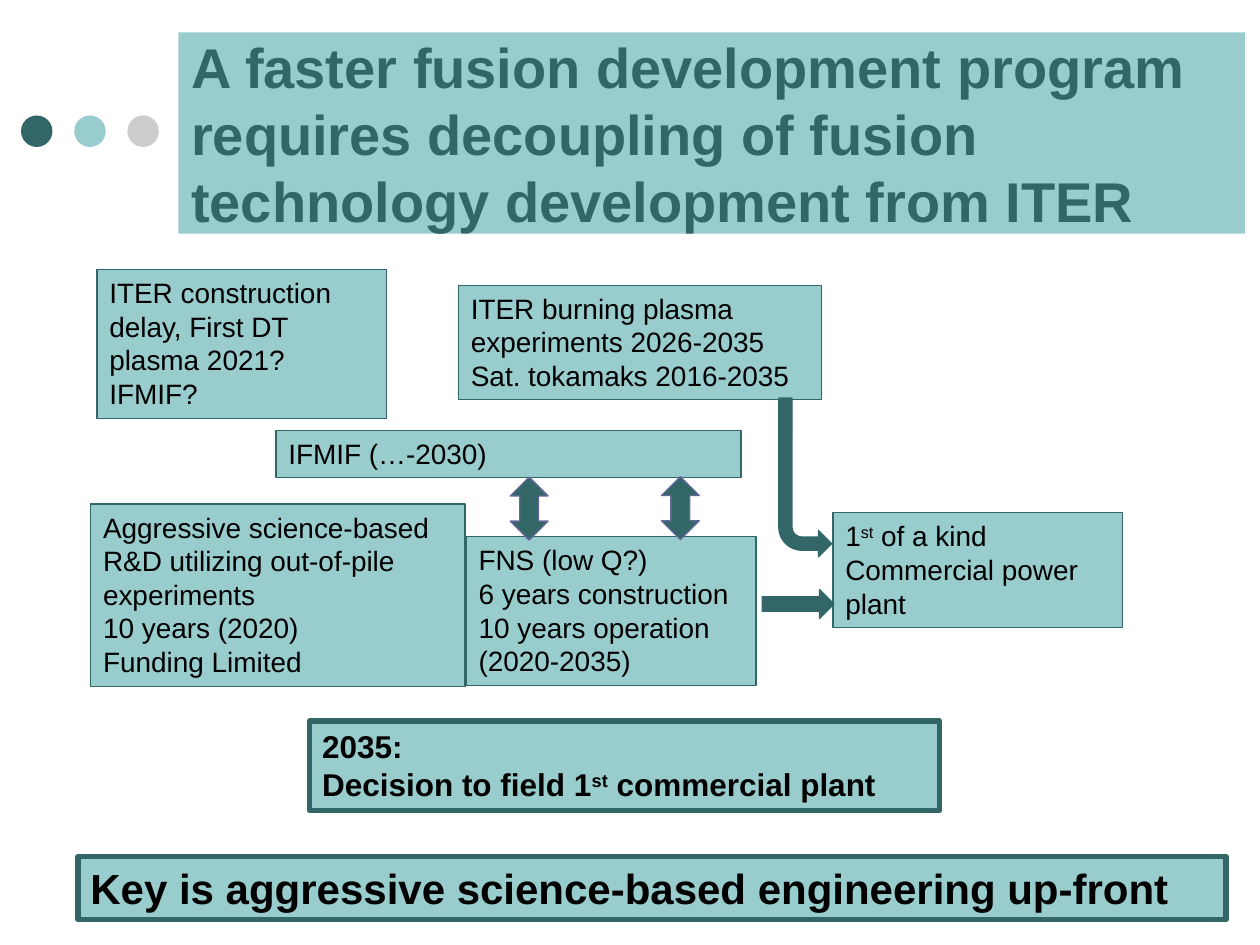
"""Build the slide on decoupling fusion technology development from ITER."""
from dataclasses import dataclass

from pptx import Presentation
from pptx.dml.color import RGBColor
from pptx.enum.shapes import MSO_SHAPE
from pptx.enum.text import MSO_ANCHOR, MSO_AUTO_SIZE, PP_ALIGN
from pptx.oxml.ns import qn
from pptx.util import Pt

OVAL = MSO_SHAPE.OVAL
BENT = MSO_SHAPE.BENT_ARROW
UP = MSO_SHAPE.UP_ARROW
UP_DOWN = MSO_SHAPE.UP_DOWN_ARROW
MIDDLE, TOP = MSO_ANCHOR.MIDDLE, MSO_ANCHOR.TOP
FIT, NO_FIT = MSO_AUTO_SIZE.SHAPE_TO_FIT_TEXT, MSO_AUTO_SIZE.NONE
LEFT = PP_ALIGN.LEFT

TEAL, AQUA, GREY = "336666", "99CCCC", "CCCCCC"
VIOLET, BLACK = "666699", "000000"
TITLE = ("A faster fusion development program requires decoupling "
         "of fusion technology development from ITER")


@dataclass
class Box:
    """A framed text box; carets enclose superscripts."""
    x: float
    y: float
    w: float
    h: float
    paragraphs: tuple[str, ...]
    size: float = 16
    bold: bool = False
    line: float = 0.75


@dataclass
class Arrow:
    """A block arrow."""
    kind: int
    x: float
    y: float
    w: float
    h: float
    line: str = TEAL
    rotation: float = 0
    flip: bool = False


BOXES = (
    Box(55.4, 154, 165.6, 85, ("ITER construction delay, First DT plasma 2021?", "IFMIF?")),
    Box(262, 163, 207.4, 65.5,
        ("ITER burning plasma experiments 2026-2035", "Sat. tokamaks 2016-2035")),
    Box(177, 412, 360, 51, ("2035:", "Decision to field 1^st^ commercial plant"), 18, True, 3),
    Box(51.8, 288, 214, 104.4,
        ("Aggressive science-based R&D utilizing out-of-pile experiments",
         "10 years (2020)", "Funding Limited")),
    Box(266.4, 306.7, 165.6, 85,
        ("FNS (low Q?)", "6 years construction", "10 years operation (2020-2035)")),
    Box(157.7, 246.2, 265.7, 26.6, ("IFMIF (…-2030)",)),
    Box(476, 293, 165.6, 65.5, ("1^st^ of a kind Commercial power plant",)),
    Box(44.6, 489.6, 656, 36, ("Key is aggressive science-based engineering up-front",),
        24, True, 3),
)
ARROWS = (
    Arrow(BENT, 445, 227.5, 30.2, 90.7, rotation=180, flip=True),
    Arrow(UP, 447.8, 324.7, 16.6, 41, rotation=90),
    Arrow(UP_DOWN, 291.6, 272.6, 21.6, 36, VIOLET),
    Arrow(UP_DOWN, 378, 272.4, 21.6, 36, VIOLET),
)


def paint(fmt, color: str) -> None:
    """Apply a solid colour to a fill."""
    fmt.solid()
    fmt.fore_color.rgb = RGBColor.from_string(color)


def add_run(p, text: str, size: float, color: str, bold: bool, raised: bool = False) -> None:
    """Append one formatted run to a paragraph."""
    r = p.add_run()
    r.text = text
    r.font.name, r.font.size, r.font.bold = "Arial", Pt(size), bold
    paint(r.font.fill, color)
    if raised:
        r.font._element.set("baseline", "30000")


def add_title(slide) -> None:
    """Place and fill the title placeholder."""
    sp = slide.shapes.title
    sp.left, sp.top, sp.width, sp.height = Pt(102), Pt(18.5), Pt(609.4), Pt(115)
    paint(sp.fill, AQUA)
    tf = sp.text_frame
    tf.word_wrap, tf.auto_size, tf.vertical_anchor = True, NO_FIT, MIDDLE
    p = tf.paragraphs[0]
    p.alignment = LEFT
    add_run(p, TITLE, 32, TEAL, True)


def add_dot(slide, x: float, color: str) -> None:
    """Draw one decorative dot beside the title."""
    sp = slide.shapes.add_shape(OVAL, Pt(x), Pt(66), Pt(18), Pt(18))
    sp.shadow.inherit = False
    paint(sp.fill, color)
    sp.line.fill.background()


def add_box(slide, box: Box) -> None:
    """Draw one framed text box."""
    sp = slide.shapes.add_textbox(Pt(box.x), Pt(box.y), Pt(box.w), Pt(box.h))
    paint(sp.fill, AQUA)
    paint(sp.line.fill, TEAL)
    sp.line.width = Pt(box.line)
    tf = sp.text_frame
    tf.word_wrap, tf.auto_size, tf.vertical_anchor = True, FIT, TOP
    for i, text in enumerate(box.paragraphs):
        p = tf.add_paragraph() if i else tf.paragraphs[0]
        for j, part in enumerate(text.split("^")):
            add_run(p, part, box.size, BLACK, box.bold, j % 2 == 1)


def add_arrow(slide, arrow: Arrow) -> None:
    """Draw one block arrow."""
    sp = slide.shapes.add_shape(arrow.kind, Pt(arrow.x), Pt(arrow.y), Pt(arrow.w), Pt(arrow.h))
    sp.shadow.inherit = False
    paint(sp.fill, TEAL)
    paint(sp.line.fill, arrow.line)
    sp.line.width = Pt(0.75)
    sp.rotation = arrow.rotation
    if arrow.flip:
        sp._element.spPr.find(qn("a:xfrm")).set("flipH", "1")


def main() -> None:
    """Build and save the presentation."""
    prs = Presentation()
    prs.slide_width, prs.slide_height = Pt(720), Pt(540)
    slide = prs.slides.add_slide(prs.slide_layouts[5])
    add_title(slide)
    for i, color in enumerate((TEAL, AQUA, GREY)):
        add_dot(slide, 12 + 30.4 * i, color)
    for box in BOXES:
        add_box(slide, box)
    for arrow in ARROWS:
        add_arrow(slide, arrow)
    prs.save("out.pptx")


if __name__ == "__main__":
    main()
